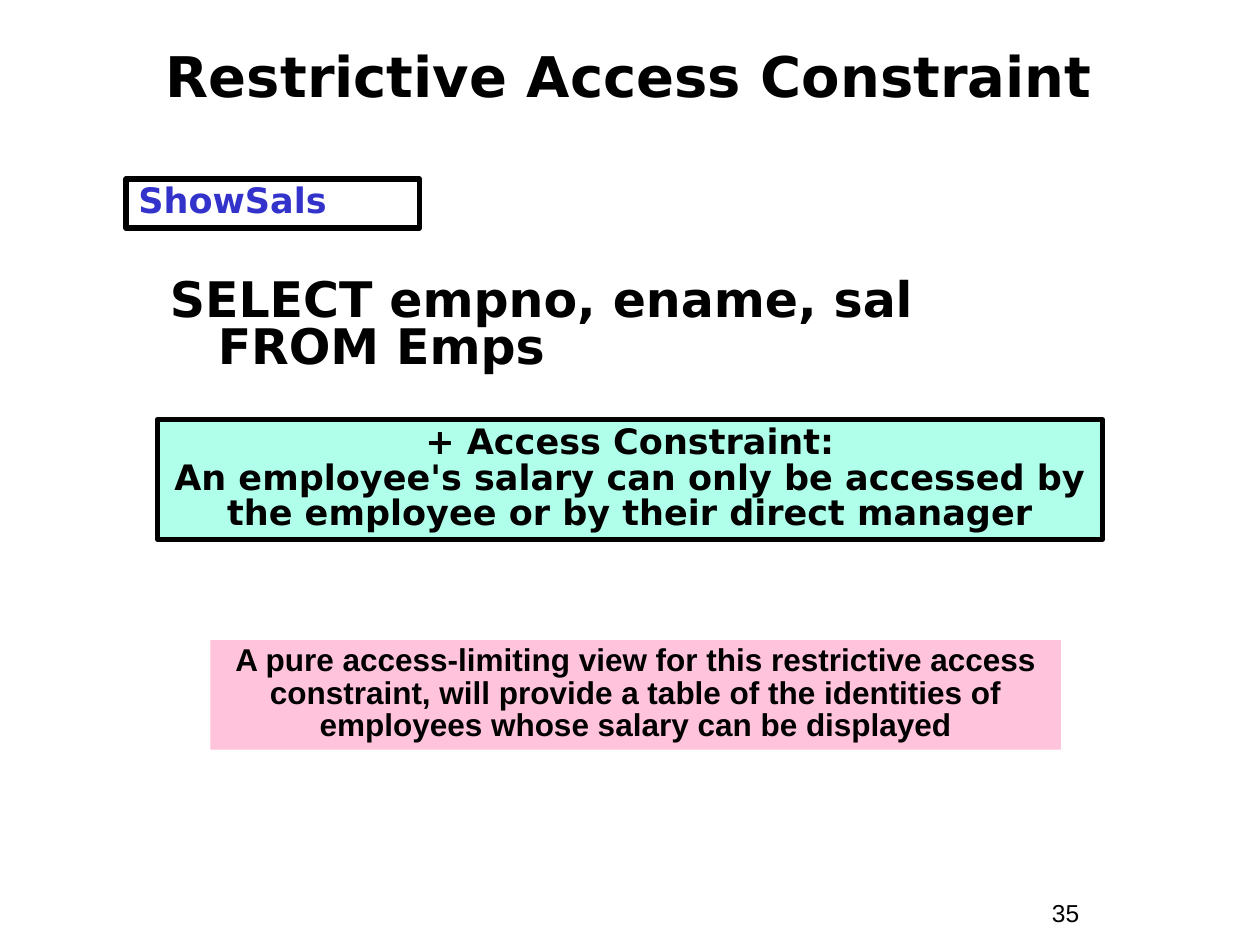
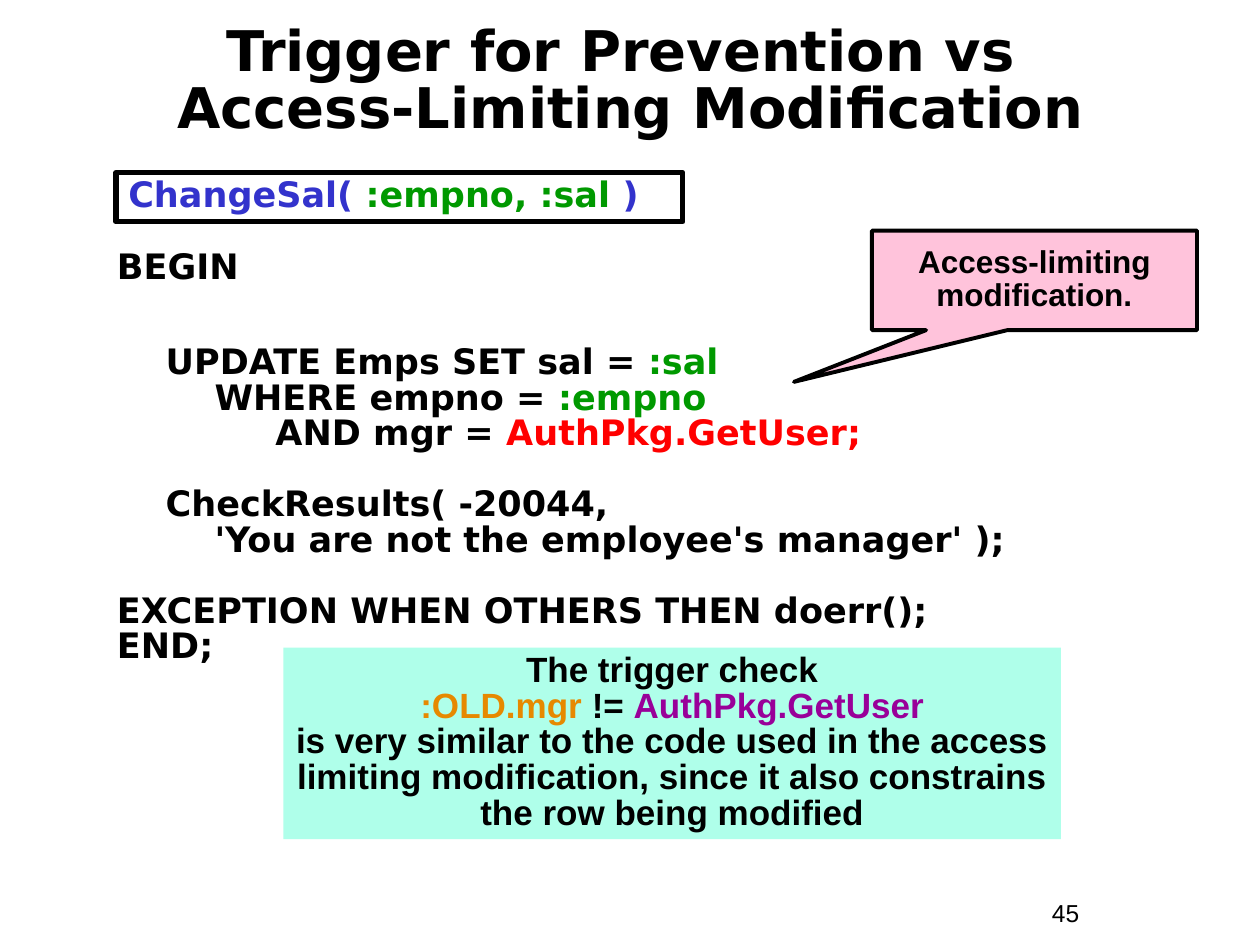
from dataclasses import dataclass, replace
from typing import NamedTuple, Optional

import pptx
import pptx.dml.color
import pptx.enum.shapes
import pptx.enum.text
import pptx.slide
import pptx.util

RGBColor = pptx.dml.color.RGBColor
Inches = pptx.util.Inches
Pt = pptx.util.Pt
Shape = pptx.enum.shapes.MSO_SHAPE
Align = pptx.enum.text.PP_ALIGN
Anchor = pptx.enum.text.MSO_ANCHOR

BLACK = RGBColor(0x00, 0x00, 0x00)
WHITE = RGBColor(0xFF, 0xFF, 0xFF)
BLUE = RGBColor(0x33, 0x33, 0xCC)
GREEN = RGBColor(0x00, 0x99, 0x00)
RED = RGBColor(0xFF, 0x00, 0x00)
ORANGE = RGBColor(0xE6, 0x89, 0x00)
PURPLE = RGBColor(0x99, 0x00, 0x99)
MINT = RGBColor(0xAF, 0xFF, 0xEA)
PINK = RGBColor(0xFF, 0xC3, 0xDB)

CODE_FONT = "DejaVu Sans"
NOTE_FONT = "Arial"
BLANK_LAYOUT = 6


class Span(NamedTuple):
    text: str
    color: RGBColor = BLACK


class Line(NamedTuple):
    """A paragraph, with its space before in points."""
    spans: list[Span]
    space_before: float = 0


@dataclass(frozen=True)
class TextStyle:
    font: str
    size: float
    bold: bool = True
    align: Align = Align.LEFT
    anchor: Anchor = Anchor.TOP
    spacing: float = 0.85
    hanging: float = 0


@dataclass(frozen=True)
class Box:
    left: float
    top: float
    width: float
    height: float
    lines: list[Line]
    style: TextStyle
    fill: Optional[RGBColor] = None
    border: float = 0
    preset: Shape = Shape.RECTANGLE
    adjustments: tuple[float, ...] = ()


TITLE = TextStyle(CODE_FONT, 32, align=Align.CENTER, anchor=Anchor.MIDDLE)
QUERY = TextStyle(CODE_FONT, 28, spacing=0.8, hanging=0.38)
CODE = TextStyle(CODE_FONT, 20)
CONSTRAINT = replace(CODE, align=Align.CENTER)
REMARK = replace(CONSTRAINT, font=NOTE_FONT)
NOTE = replace(REMARK, size=18)
CALLOUT = replace(NOTE, anchor=Anchor.MIDDLE)
PAGE_NUMBER = TextStyle(NOTE_FONT, 14, bold=False, spacing=1.0)


def plain(text: str) -> list[Line]:
    return [Line([Span(text)])]


def set_format(target: object, values: dict[str, object]) -> None:
    for name, value in values.items():
        setattr(target, name, value)


def write_span(paragraph, span: Span, style: TextStyle) -> None:
    """Add a run for each part of the span, with line breaks between."""
    for index, part in enumerate(span.text.split("\n")):
        if index:
            paragraph.add_line_break()
        if part:
            run = paragraph.add_run()
            run.text = part
            set_format(run.font, {
                "name": style.font, "size": Pt(style.size), "bold": style.bold})
            run.font.color.rgb = span.color


def write_lines(frame, lines: list[Line], style: TextStyle) -> None:
    set_format(frame, {
        "word_wrap": True, "vertical_anchor": style.anchor,
        "margin_left": Inches(0.1), "margin_right": Inches(0.1),
        "margin_top": Inches(0.05), "margin_bottom": Inches(0.05)})
    for index, line in enumerate(lines):
        paragraph = frame.add_paragraph() if index else frame.paragraphs[0]
        set_format(paragraph, {
            "alignment": style.align, "line_spacing": style.spacing,
            "space_before": Pt(line.space_before)})
        if style.hanging:
            properties = paragraph._p.get_or_add_pPr()
            properties.set("marL", str(Inches(style.hanging)))
            properties.set("indent", str(-Inches(style.hanging)))
        for span in line.spans:
            write_span(paragraph, span, style)


def draw_box(slide: pptx.slide.Slide, box: Box) -> None:
    """Draw a text box, or a preset shape when it has a fill or a border."""
    place = [Inches(n) for n in (box.left, box.top, box.width, box.height)]
    if box.fill is None and not box.border:
        shape = slide.shapes.add_textbox(*place)
    else:
        shape = slide.shapes.add_shape(box.preset, *place)
        shape.shadow.inherit = False
        for index, value in enumerate(box.adjustments):
            shape.adjustments[index] = value
        if box.fill is None:
            shape.fill.background()
        else:
            shape.fill.solid()
            shape.fill.fore_color.rgb = box.fill
        if box.border:
            shape.line.color.rgb = BLACK
            shape.line.width = Pt(box.border)
        else:
            shape.line.fill.background()
    write_lines(shape.text_frame, box.lines, box.style)


def add_slide(presentation, page: int, boxes: list[Box]) -> None:
    slide = presentation.slides.add_slide(presentation.slide_layouts[BLANK_LAYOUT])
    slide.background.fill.solid()
    slide.background.fill.fore_color.rgb = WHITE
    number = Box(8.25, 7.08, 0.92, 0.34, plain(str(page)), PAGE_NUMBER)
    for box in [number, *boxes]:
        draw_box(slide, box)


ACCESS_CONSTRAINT = [
    Box(0.33, 0.18, 9.33, 0.92, plain("Restrictive Access Constraint"), TITLE),
    Box(1.25, 2.17, 6.75, 0.92, plain("SELECT empno, ename, sal\nFROM Emps"), QUERY),
    Box(1, 1.42, 2.33, 0.39, [Line([Span("ShowSals", BLUE)])], CODE, border=3),
    Box(1.25, 3.33, 7.5, 0.95, plain(
        "+ Access Constraint:\nAn employee's salary can only be accessed by "
        "the employee or by their direct manager"), CONSTRAINT, MINT, border=3),
    Box(1.67, 5.08, 6.75, 0.87, plain(
        "A pure access-limiting view for this restrictive access constraint, "
        "will provide a table of the identities of employees whose salary can "
        "be displayed"), NOTE, PINK),
]

PROCEDURE_BODY = [
    Line([Span("BEGIN")]),
    Line([Span("    UPDATE Emps SET sal = "), Span(":sal", GREEN)], 34),
    Line([Span("        WHERE empno = "), Span(":empno", GREEN)]),
    Line([Span("             AND mgr = "), Span("AuthPkg.GetUser;", RED)]),
    Line([Span("    CheckResults( -20044,")], 20),
    Line([Span("        'You are not the employee's manager' );")]),
    Line([Span("EXCEPTION WHEN OTHERS THEN doerr();")], 20),
    Line([Span("END;")]),
]

TRIGGER_REMARK = [Line([
    Span("The trigger check\n"), Span(":OLD.mgr ", ORANGE), Span("!= "),
    Span("AuthPkg.GetUser\n", PURPLE),
    Span("is very similar to the code used in the access limiting modification, "
         "since it also constrains the row being modified"),
])]

TRIGGER_COMPARISON = [
    Box(0.17, 0.2, 9.67, 0.92, plain(
        "Trigger for Prevention vs \nAccess-Limiting Modification"), TITLE),
    Box(0.83, 1.94, 8.75, 3.41, PROCEDURE_BODY, CODE),
    Box(0.92, 1.37, 4.5, 0.39, [Line([
        Span("ChangeSal( ", BLUE), Span(":empno, :sal ", GREEN), Span(")", BLUE),
    ])], CODE, border=3),
    Box(2.25, 5.14, 6.17, 1.52, TRIGGER_REMARK, REMARK, MINT),
    Box(6.92, 1.83, 2.58, 0.79, plain("Access-limiting modification."), CALLOUT,
        PINK, 2.25, Shape.RECTANGULAR_CALLOUT, (-0.74, 1.02)),
]


def main() -> None:
    presentation = pptx.Presentation()
    presentation.slide_width = Inches(10)
    presentation.slide_height = Inches(7.5)
    add_slide(presentation, 35, ACCESS_CONSTRAINT)
    add_slide(presentation, 45, TRIGGER_COMPARISON)
    presentation.save("out.pptx")


if __name__ == "__main__":
    main()
